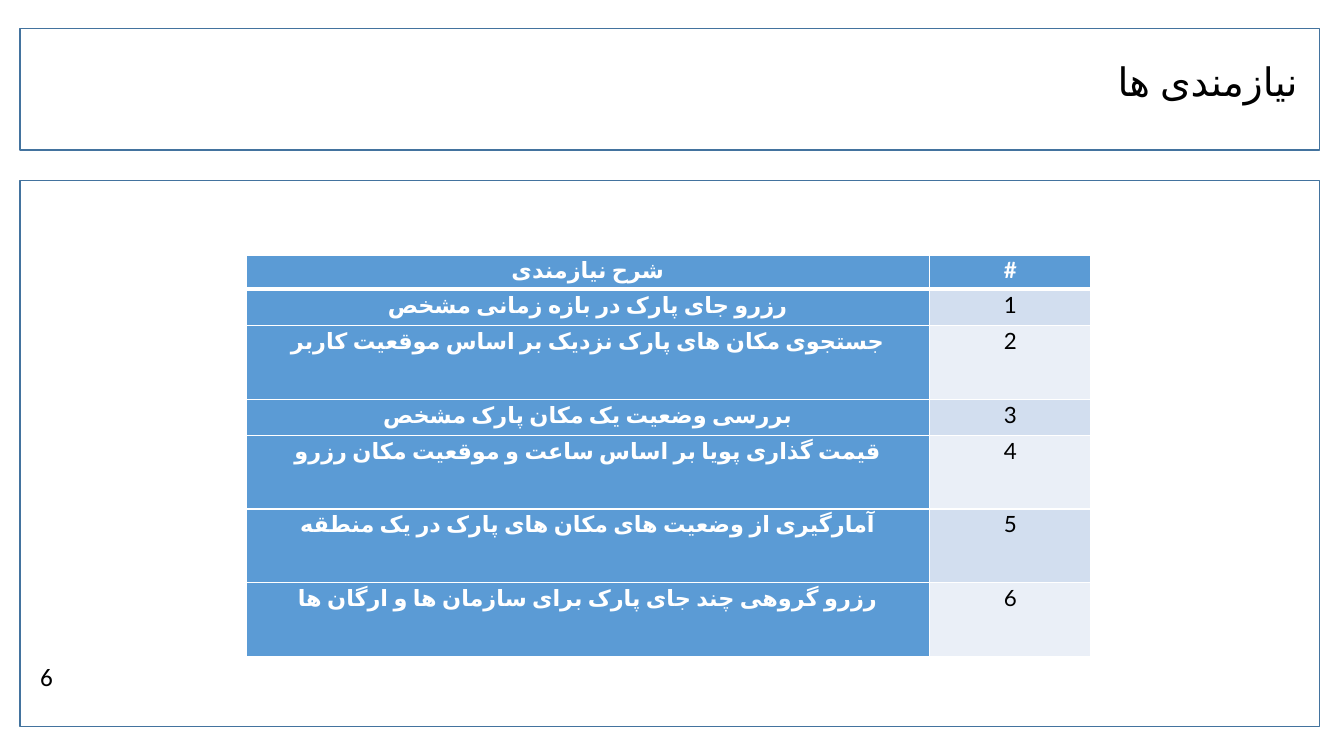
import pptx
import pptx.util
import pptx.oxml
import pptx.oxml.ns
import pptx.dml.color
import pptx.enum.lang
import pptx.enum.shapes
import pptx.enum.text

Inches = pptx.util.Inches
ALIGN = pptx.enum.text.PP_ALIGN
COLORS = {
    "white": "FFFFFF",
    "black": "000000",
    "frame": "43739E",
    "blue": "5B9BD5",
    "odd": "D2DEEF",
    "even": "EAEFF7",
}
NEEDS = [
    "رزرو جای پارک در بازه زمانی مشخص",
    "جستجوی مکان های پارک نزدیک بر اساس موقعیت کاربر",
    "بررسی وضعیت یک مکان پارک مشخص",
    "قیمت گذاری پویا بر اساس ساعت و موقعیت مکان رزرو",
    "آمارگیری از وضعیت های مکان های پارک در یک منطقه",
    "رزرو گروهی چند جای پارک برای سازمان ها و ارگان ها",
]
HEIGHTS = [0.34, 0.36, 0.73, 0.36, 0.73, 0.73, 0.73]
WIDTHS = [6.78, 1.6]


def color(name):
    return pptx.dml.color.RGBColor.from_string(COLORS[name])


def write(frame, text, size=16, font="Lato", ink="black", bold=False,
          align=ALIGN.CENTER, space=1.07, rtl=True):
    para = frame.paragraphs[0]
    para.alignment = align
    para.line_spacing = space
    para.space_before = pptx.util.Pt(0)
    run = para.add_run()
    run.text = text
    run.font.size = pptx.util.Pt(size)
    run.font.name = font
    run.font.bold = bold
    run.font.color.rgb = color(ink)
    if rtl:
        para._p.get_or_add_pPr().set("rtl", "1")
        run.font.language_id = pptx.enum.lang.MSO_LANGUAGE_ID.FARSI
        run._r.get_or_add_rPr().append(pptx.oxml.parse_xml(
            f'<a:cs {pptx.oxml.ns.nsdecls("a")} typeface="{font}"/>'))


def border(cell, side, width):
    """Draw a white line, width in points, on side L, R, T or B."""
    line = pptx.oxml.parse_xml(
        f'<a:ln{side} {pptx.oxml.ns.nsdecls("a")} w="{pptx.util.Pt(width)}">'
        f'<a:solidFill><a:srgbClr val="{COLORS["white"]}"/></a:solidFill>'
        f'</a:ln{side}>')
    cell._tc.get_or_add_tcPr().append(line)


class Deck:
    """Holds the presentation and its current slide."""

    def __init__(self):
        self.prs = pptx.Presentation()
        self.prs.slide_width = Inches(13.33)
        self.prs.slide_height = Inches(7.5)
        self.slide = self.prs.slides.add_slide(self.prs.slide_layouts[5])
        self.shapes = self.slide.shapes

    def panel(self, *box):
        """Add a framed, partly clear white box."""
        panel = self.shapes.add_shape(
            pptx.enum.shapes.MSO_SHAPE.RECTANGLE, *map(Inches, box))
        panel.shadow.inherit = False
        panel.fill.solid()
        panel.fill.fore_color.rgb = color("white")
        tint = panel.fill._xPr.find(".//" + pptx.oxml.ns.qn("a:srgbClr"))
        tint.append(pptx.oxml.parse_xml(
            f'<a:alpha {pptx.oxml.ns.nsdecls("a")} val="60000"/>'))
        panel.line.color.rgb = color("frame")
        panel.line.width = pptx.util.Pt(1)

    def title(self, text, *box):
        """Fill the title and bring it in front of the panels."""
        title = self.shapes.title
        title.left, title.top, title.width, title.height = map(Inches, box)
        title._element.getparent().append(title._element)
        frame = title.text_frame
        frame.auto_size = pptx.enum.text.MSO_AUTO_SIZE.NONE
        frame.vertical_anchor = pptx.enum.text.MSO_ANCHOR.TOP
        write(frame, text, size=28, align=ALIGN.RIGHT, space=0.9)

    def label(self, text, *box, **style):
        frame = self.shapes.add_textbox(*map(Inches, box)).text_frame
        frame.word_wrap = True
        write(frame, text, **style)

    def cell(self, cell, text, fill, edges, **style):
        cell.margin_left = cell.margin_right = Inches(0.07)
        cell.margin_top = cell.margin_bottom = 0
        for side, width in zip("LRTB", edges):
            border(cell, side, width)
        cell.fill.solid()
        cell.fill.fore_color.rgb = color(fill)
        write(cell.text_frame, text, **style)

    def table(self, rows, left, top):
        """Add a table with a header row and a bold first column."""
        table = self.shapes.add_table(
            len(rows), len(WIDTHS), Inches(left), Inches(top),
            Inches(sum(WIDTHS)), Inches(sum(HEIGHTS))).table
        for col, width in zip(table.columns, WIDTHS):
            col.width = Inches(width)
        for i, row in enumerate(rows):
            table.rows[i].height = Inches(HEIGHTS[i])
            edges = (1, 1, 3 if i == 1 else 1, 3 if i == 0 else 1)
            for j, text in enumerate(row):
                head = i == 0 or j == 0
                fill = "blue" if head else "odd" if i % 2 else "even"
                self.cell(table.cell(i, j), text, fill, edges, bold=head,
                          ink="white" if head else "black")


def main():
    deck = Deck()
    deck.panel(0.2, 1.79, 12.89, 5.42)
    deck.panel(0.2, 0.28, 12.89, 1.21)
    deck.title("نیازمندی ها", 0.3, 0.57, 12.67, 0.66)
    rows = [(need, str(n)) for n, need in enumerate(NEEDS, 1)]
    deck.table([("شرح نیازمندی", "#")] + rows, 2.44, 2.53)
    deck.label("6", 0.3, 6.51, 0.83, 0.4, size=18, font="Calibri",
               align=ALIGN.LEFT, space=1.0, rtl=False)
    deck.prs.save("out.pptx")


if __name__ == "__main__":
    main()
